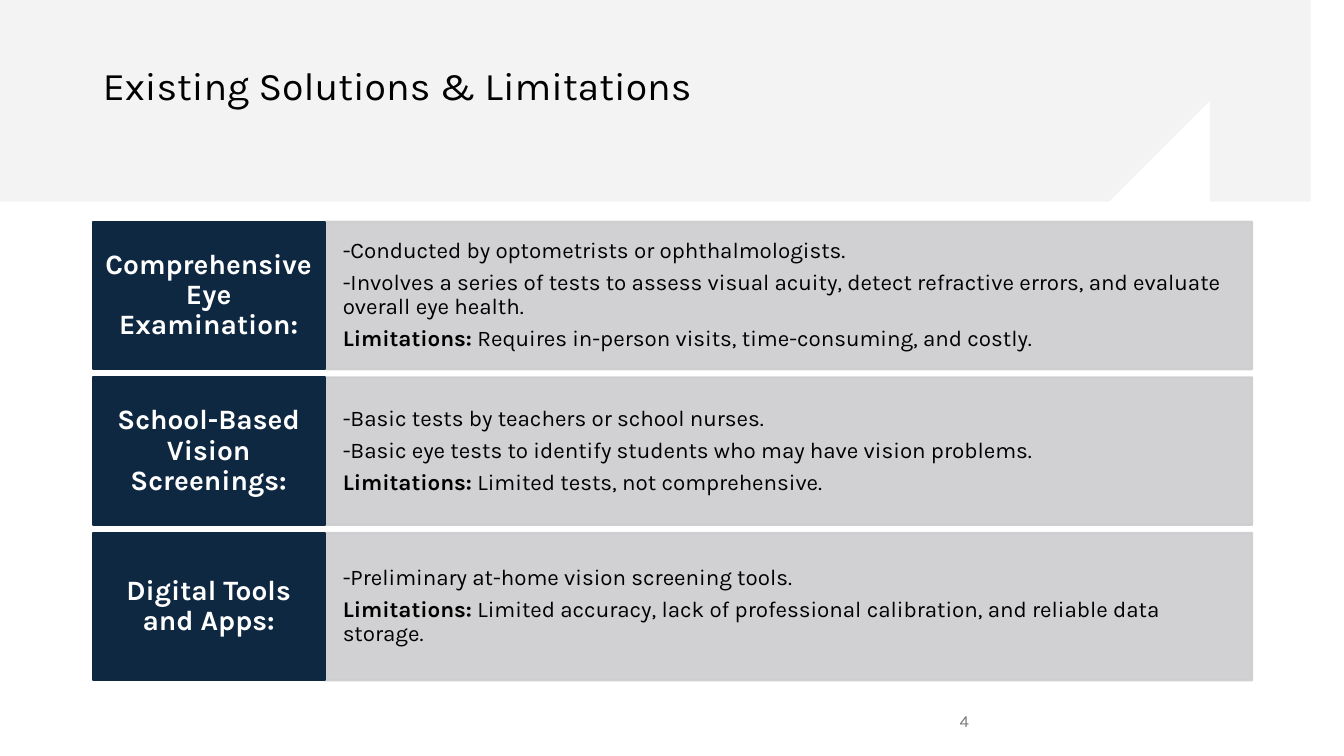
import pptx
import pptx.dml.color
import pptx.enum.shapes
import pptx.enum.text
import pptx.oxml.ns
import pptx.util
from pptx.util import Inches

# Content
TITLE = "Existing Solutions & Limitations"
PAGE_NUMBER = "4"
SOLUTIONS = [
    ("Comprehensive Eye Examination:",
     ["-Conducted by optometrists or ophthalmologists.",
      "-Involves a series of tests to assess visual acuity, detect refractive errors, "
      "and evaluate overall eye health."],
     " Requires in-person visits, time-consuming, and costly."),
    ("School-Based Vision Screenings:",
     ["-Basic tests by teachers or school nurses.",
      "-Basic eye tests to identify students who may have vision problems."],
     " Limited tests, not comprehensive."),
    ("Digital Tools and Apps:",
     ["-Preliminary at-home vision screening tools."],
     " Limited accuracy, lack of professional calibration, and reliable data storage."),
]
FONT = "Karla"
COLORS = {"torn": "E8E8E8", "label": "0E2841", "detail": "CCCDCF",
          "black": "000000", "white": "FFFFFF", "number": "797979"}

# Layout in inches
SLIDE_WIDTH, SLIDE_HEIGHT = 13.33, 7.5
LEFT, CONTENT_WIDTH, LABEL_WIDTH = 0.92, 11.5, 2.3
ROWS_TOP, ROWS_BOTTOM, ROW_GAP = 2.2, 6.75, 0.08

# Torn edge: a slope at left, then a ridge that is mirrored and stretched to the right
SLOPE = [(0, 2.59), (0.46, 2.36), (0.82, 2.21), (1.13, 2.08), (1.2, 2.15),
         (1.5, 2.06), (2, 1.95)]
RIDGE = [(2.39, 1.77), (2.69, 1.58), (3.08, 1.5), (3.25, 1.61), (3.33, 1.51),
         (3.5, 1.6), (3.76, 1.49), (4.08, 1.58), (4.16, 1.65), (4.37, 1.65),
         (4.4, 1.75), (4.6, 1.73), (4.71, 1.96), (5.1, 1.89), (5.35, 1.78),
         (5.67, 1.83), (5.72, 1.92), (5.86, 1.92), (5.87, 2.08), (6.08, 1.94),
         (6.29, 1.91), (6.5, 1.95), (6.57, 2.02), (6.75, 1.95), (7.1, 1.85),
         (7.4, 1.88)]
MIRROR_X, STRETCH = 7.48, 1.15


def rgb(name):
    return pptx.dml.color.RGBColor.from_string(COLORS[name])


def paint(fill, name):
    fill.solid()
    fill.fore_color.rgb = rgb(name)


def set_opacity(shape, percent):
    for color in shape._element.spPr.iter(pptx.oxml.ns.qn("a:srgbClr")):
        color.append(color.makeelement(pptx.oxml.ns.qn("a:alpha"),
                                       {"val": str(percent * 1000)}))


def add_run(paragraph, text, size, color, bold=False):
    run = paragraph.add_run()
    run.text = text
    run.font.name = FONT
    run.font.size = pptx.util.Pt(size)
    run.font.bold = bold
    run.font.color.rgb = rgb(color)


def add_block(slide, box, fill, opacity, insets, paragraphs, size, color, align):
    """Add a filled rectangle; each paragraph is a list of (text, bold) runs."""
    shape = slide.shapes.add_shape(pptx.enum.shapes.MSO_SHAPE.RECTANGLE,
                                   *[Inches(value) for value in box])
    shape.shadow.inherit = False
    paint(shape.fill, fill)
    paint(shape.line.fill, fill)
    shape.line.width = pptx.util.Pt(1.5)
    if opacity < 100:
        set_opacity(shape, opacity)
    frame = shape.text_frame
    frame.word_wrap = True
    frame.vertical_anchor = pptx.enum.text.MSO_ANCHOR.MIDDLE
    frame.margin_left = frame.margin_right = Inches(insets[0])
    frame.margin_top = frame.margin_bottom = Inches(insets[1])
    for index, runs in enumerate(paragraphs):
        paragraph = frame.add_paragraph() if index else frame.paragraphs[0]
        paragraph.alignment = align
        paragraph.line_spacing = 0.9
        paragraph.space_after = pptx.util.Pt(size * 0.35)
        for text, bold in runs:
            add_run(paragraph, text, size, color, bold)


def main():
    presentation = pptx.Presentation()
    presentation.slide_width = Inches(SLIDE_WIDTH)
    presentation.slide_height = Inches(SLIDE_HEIGHT)
    slide = presentation.slides.add_slide(presentation.slide_layouts[5])
    left_align = pptx.enum.text.PP_ALIGN.LEFT
    middle = pptx.enum.text.MSO_ANCHOR.MIDDLE

    # Torn paper band, placed behind the title
    mirrored = [(min(MIRROR_X + STRETCH * (MIRROR_X - x), SLIDE_WIDTH), y)
                for x, y in reversed(RIDGE)]
    outline = SLOPE + RIDGE + [(MIRROR_X, 1.94)] + mirrored + [(SLIDE_WIDTH, 0)]
    builder = slide.shapes.build_freeform(0, 0, scale=Inches(1))
    builder.add_line_segments(outline)
    band = builder.convert_to_shape()
    band.shadow.inherit = False
    paint(band.fill, "torn")
    set_opacity(band, 50)
    band.line.fill.background()
    slide.shapes._spTree.insert(2, band._element)

    # Title, raised by its closing line break
    title = slide.shapes.title
    title.left, title.top = Inches(LEFT), Inches(0.59)
    title.width, title.height = Inches(CONTENT_WIDTH), Inches(1.02)
    title.text_frame.auto_size = pptx.enum.text.MSO_AUTO_SIZE.NONE
    title.text_frame.vertical_anchor = middle
    paragraph = title.text_frame.paragraphs[0]
    paragraph.alignment = left_align
    paragraph.line_spacing = 0.9
    paragraph.font.size = pptx.util.Pt(28)
    add_run(paragraph, TITLE, 28, "black")
    paragraph.add_line_break()

    # One row per solution: detail at right, label at left
    count = len(SOLUTIONS)
    row_height = (ROWS_BOTTOM - ROWS_TOP - ROW_GAP * (count - 1)) / count
    for index, (label, points, limitation) in enumerate(SOLUTIONS):
        top = ROWS_TOP + index * (row_height + ROW_GAP)
        details = [[(point, False)] for point in points]
        details.append([("Limitations:", True), (limitation, False)])
        add_block(slide, (LEFT + LABEL_WIDTH, top, CONTENT_WIDTH - LABEL_WIDTH, row_height),
                  "detail", 90, (0.18, 0.37), details, 16, "black", left_align)
        add_block(slide, (LEFT, top, LABEL_WIDTH, row_height), "label", 100, (0.12, 0.14),
                  [[(label, True)]], 20, "white", pptx.enum.text.PP_ALIGN.CENTER)

    # Page number
    number = slide.shapes.add_textbox(Inches(9.42), Inches(6.95), Inches(3), Inches(0.4))
    number.text_frame.word_wrap = True
    number.text_frame.vertical_anchor = middle
    add_run(number.text_frame.paragraphs[0], PAGE_NUMBER, 12, "number")

    presentation.save("out.pptx")


if __name__ == "__main__":
    main()
